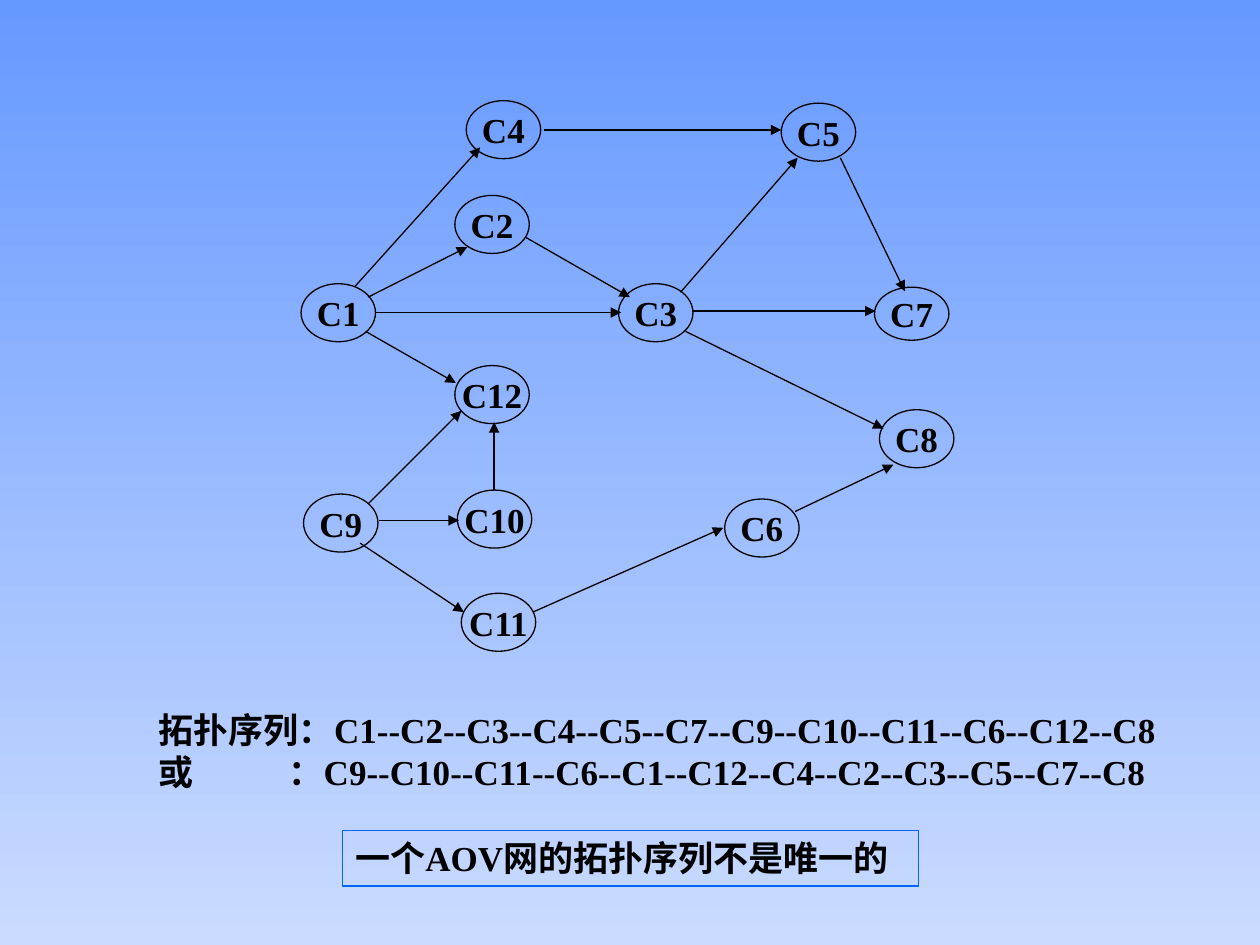
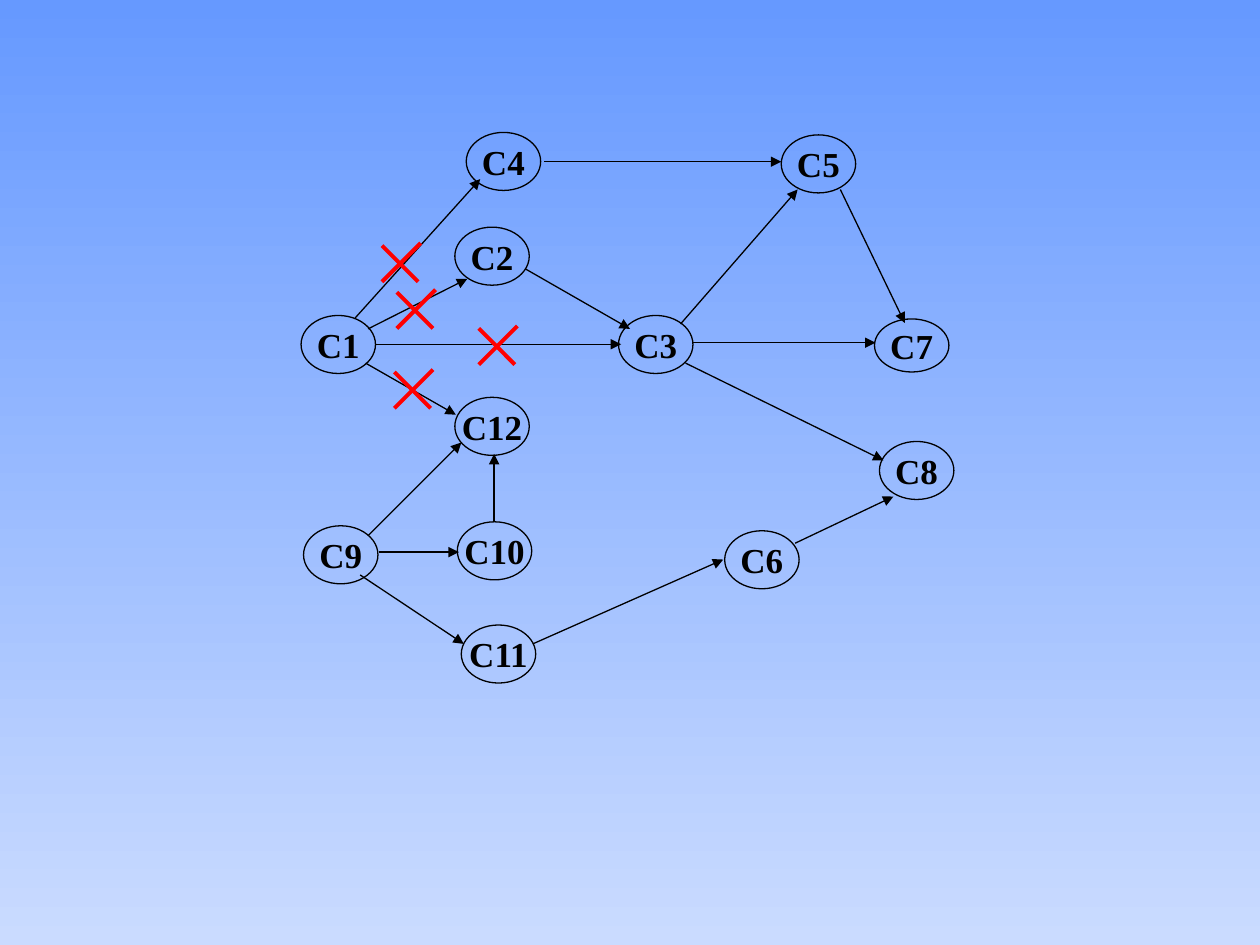
from lxml.etree import SubElement
from pptx import Presentation
from pptx.dml.color import RGBColor
from pptx.enum.shapes import MSO_CONNECTOR, MSO_SHAPE
from pptx.enum.text import MSO_ANCHOR, MSO_AUTO_SIZE, PP_ALIGN
from pptx.oxml.ns import qn
from pptx.util import Cm, Pt

FONT = "Times New Roman"
BLACK = "000000"
RED = "FF0000"
FRAME_BLUE = "0066FF"
SKY_TOP = "6699FF"
SKY_BOTTOM = "CADBFF"

NODE_WIDTH = 1.5
NODE_HEIGHT = 1.17
LOW_NODE_HEIGHT = 1.07
CROSS_SIZE = 0.78
CROSS_INSET = 0.05
LOWERED = 0.64

COURSES = {
    "C1": (6.07, 5.72),
    "C2": (9.17, 3.94),
    "C3": (12.47, 5.72),
    "C4": (9.4, 2.03),
    "C5": (15.75, 2.08),
    "C6": (14.61, 10.06),
    "C7": (17.63, 5.79),
    "C8": (17.73, 8.26),
    "C9": (6.12, 9.96),
    "C10": (9.22, 9.88),
    "C11": (9.3, 11.96),
    "C12": (9.17, 7.37),
}

PREREQUISITES = {
    ("C1", "C3"): (7.57, 6.3, 12.52, 6.3),
    ("C1", "C2"): (7.42, 5.99, 9.42, 4.98),
    ("C2", "C3"): (10.59, 4.78, 12.7, 5.99),
    ("C1", "C4"): (7.16, 5.77, 9.68, 2.97),
    ("C4", "C5"): (10.97, 2.62, 15.75, 2.62),
    ("C3", "C5"): (13.72, 5.89, 16.08, 3.18),
    ("C3", "C7"): (13.97, 6.27, 17.65, 6.27),
    ("C5", "C7"): (16.94, 3.18, 18.24, 5.87),
    ("C1", "C12"): (7.37, 6.68, 9.19, 7.72),
    ("C9", "C12"): (7.42, 10.16, 9.3, 8.28),
    ("C9", "C10"): (7.65, 10.49, 9.25, 10.49),
    ("C10", "C12"): (9.96, 9.88, 9.96, 8.51),
    ("C9", "C11"): (7.26, 10.95, 9.35, 12.34),
    ("C11", "C6"): (10.74, 12.34, 14.58, 10.64),
    ("C6", "C8"): (16.03, 10.31, 18.01, 9.37),
    ("C3", "C8"): (13.82, 6.68, 17.81, 8.64),
}

REMOVED_EDGE_CROSSES = [(7.7, 4.9), (8.0, 5.84), (9.65, 6.57), (7.95, 7.45)]

SEQUENCES = [
    "拓扑序列：C1--C2--C3--C4--C5--C7--C9--C10--C11--C6--C12--C8",
    "或\t：C9--C10--C11--C6--C1--C12--C4--C2--C3--C5--C7--C8",
]
CONCLUSION = "一个AOV网的拓扑序列不是唯一的"


def color(hex_value):
    return RGBColor.from_string(hex_value)


def paint_background(deck):
    fill = deck.slide_master.background.fill
    fill.gradient()
    fill.gradient_angle = 270
    for stop, shade in zip(fill.gradient_stops, (SKY_TOP, SKY_BOTTOM)):
        stop.color.rgb = color(shade)


def add_page(deck):
    return deck.slides.add_slide(deck.slide_layouts[6])


def write(frame, lines, alignment=PP_ALIGN.LEFT):
    frame.text = "\n".join(lines)
    frame.word_wrap = False
    for para in frame.paragraphs:
        para.alignment = alignment
        for span in para.runs:
            span.font.name = FONT
            span.font.size = Pt(20)
            span.font.bold = True
            span.font.color.rgb = color(BLACK)


def add_tab_stop(para, position):
    tabs = SubElement(para._p.get_or_add_pPr(), qn("a:tabLst"))
    SubElement(tabs, qn("a:tab"), pos=str(Cm(position)), algn="l")


def add_outline(shapes, kind, left, top, width, height, line_color):
    shape = shapes.add_shape(kind, Cm(left), Cm(top), Cm(width), Cm(height))
    shape.shadow.inherit = False
    shape.fill.background()
    shape.line.color.rgb = color(line_color)
    shape.line.width = Pt(0.75)
    return shape


def add_node(shapes, name, left, top):
    height = LOW_NODE_HEIGHT if name == "C7" else NODE_HEIGHT
    node = add_outline(shapes, MSO_SHAPE.OVAL, left, top, NODE_WIDTH, height, BLACK)
    node.text_frame.vertical_anchor = MSO_ANCHOR.MIDDLE
    write(node.text_frame, [name], PP_ALIGN.CENTER)


def add_line(shapes, start, end, line_color, width):
    points = [Cm(value) for value in (*start, *end)]
    line = shapes.add_connector(MSO_CONNECTOR.STRAIGHT, *points)
    line.line.color.rgb = color(line_color)
    line.line.width = Pt(width)
    SubElement(line._element.spPr, qn("a:effectLst"))
    return line


def add_arrow(shapes, start, end):
    arrow = add_line(shapes, start, end, BLACK, 0.75)
    SubElement(arrow.line._get_or_add_ln(), qn("a:tailEnd"), type="triangle")


def add_cross(shapes, left, top):
    right, bottom = left + CROSS_SIZE, top + CROSS_SIZE
    add_line(shapes, (left, top + CROSS_INSET), (right - CROSS_INSET, bottom), RED, 2.25)
    add_line(shapes, (right, top), (left, bottom), RED, 2.25)


def add_course_graph(page, drop=0):
    graph = page.shapes.add_group_shape().shapes
    for name, (left, top) in COURSES.items():
        add_node(graph, name, left, top + drop)
    for x1, y1, x2, y2 in PREREQUISITES.values():
        add_arrow(graph, (x1, y1 + drop), (x2, y2 + drop))


def add_sequences(page):
    box = page.shapes.add_textbox(Cm(2.95), Cm(14.15), Cm(20.8), Cm(1.96))
    write(box.text_frame, SEQUENCES)
    add_tab_stop(box.text_frame.paragraphs[1], 2.62)


def add_conclusion(page):
    box = add_outline(page.shapes, MSO_SHAPE.RECTANGLE, 6.91, 16.74, 11.61, 1.12, FRAME_BLUE)
    box.text_frame.vertical_anchor = MSO_ANCHOR.TOP
    write(box.text_frame, [CONCLUSION])
    box.text_frame.auto_size = MSO_AUTO_SIZE.SHAPE_TO_FIT_TEXT


def build_sequence_page(deck):
    page = add_page(deck)
    add_course_graph(page)
    add_sequences(page)
    add_conclusion(page)


def build_removal_page(deck):
    page = add_page(deck)
    add_course_graph(page, LOWERED)
    for left, top in REMOVED_EDGE_CROSSES:
        add_cross(page.shapes.add_group_shape().shapes, left, top)


def main():
    deck = Presentation()
    deck.slide_width = Cm(25.4)
    deck.slide_height = Cm(19.05)
    paint_background(deck)
    build_sequence_page(deck)
    build_removal_page(deck)
    deck.save("out.pptx")


if __name__ == "__main__":
    main()
